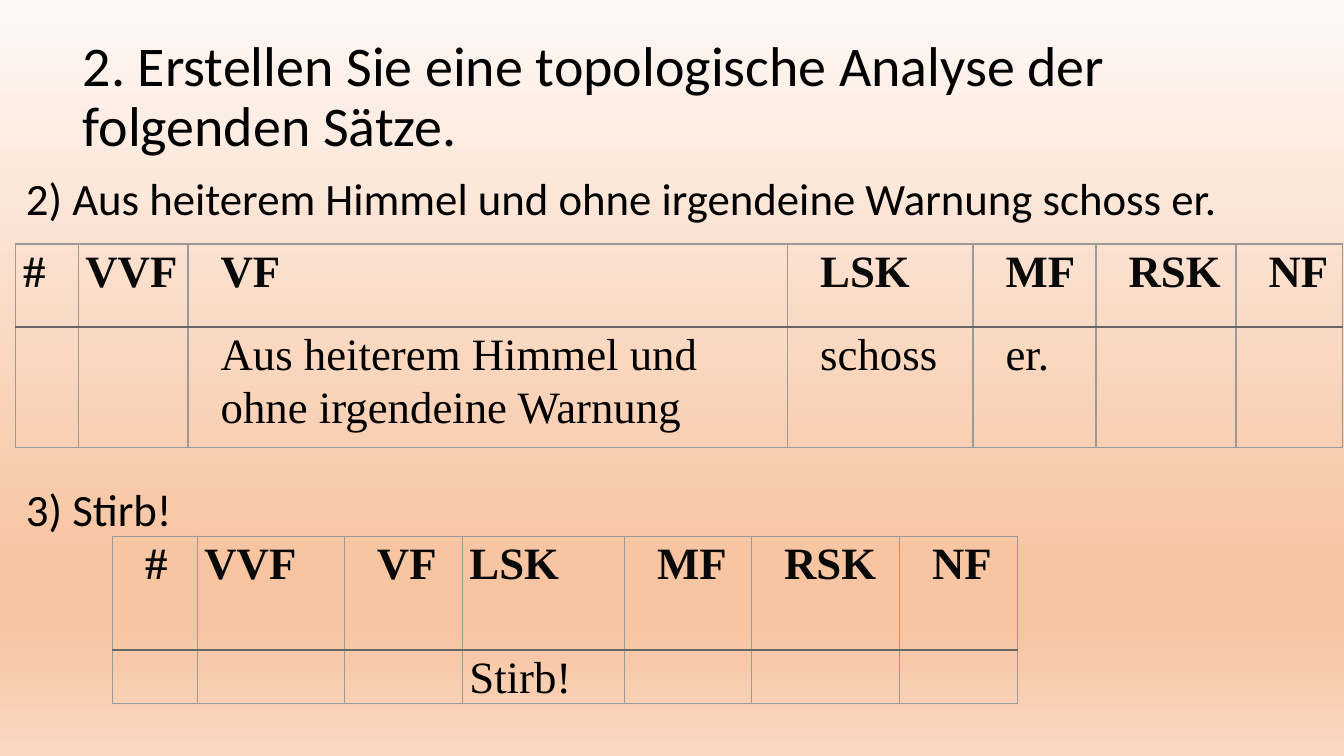
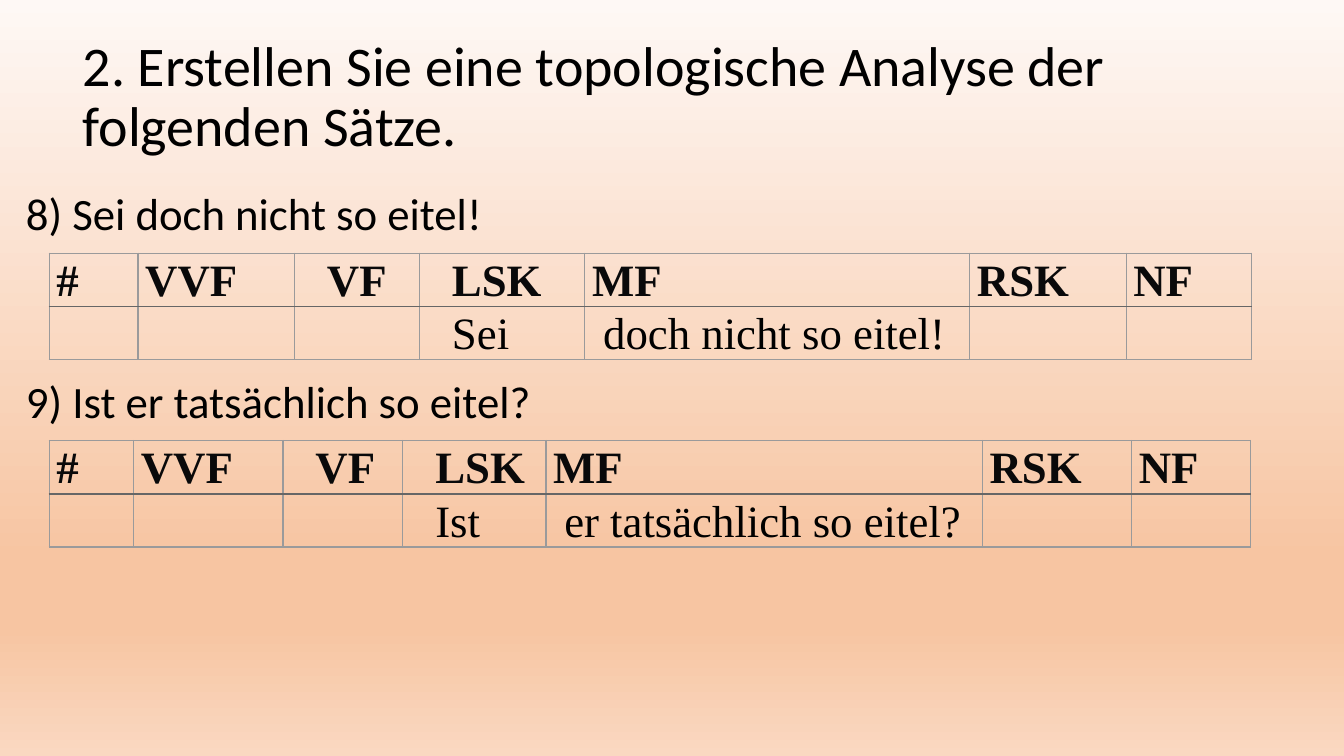
from lxml.etree import SubElement
from pptx import Presentation
from pptx.dml.color import RGBColor
from pptx.enum.text import MSO_ANCHOR, MSO_AUTO_SIZE, PP_ALIGN
from pptx.oxml import parse_xml
from pptx.oxml.ns import nsdecls, qn
from pptx.util import Cm, Pt

BLACK = RGBColor(0x00, 0x00, 0x00)
INK = RGBColor(0x09, 0x09, 0x0A)
GREY = RGBColor(0x9A, 0x9A, 0x9B)
DARK = RGBColor(0x66, 0x66, 0x66)
STOPS = [
    (0, RGBColor(0xFE, 0xF8, 0xF5)),
    (74, RGBColor(0xF7, 0xC5, 0xA2)),
    (83, RGBColor(0xF7, 0xC5, 0xA2)),
    (100, RGBColor(0xFA, 0xD8, 0xC1)),
]
SANS, SERIF = "Calibri", "Times New Roman"
THIN, THICK = (GREY, 1), (DARK, 1.5)

TITLE = "2. Erstellen Sie eine topologische Analyse der folgenden Sätze."
FIELDS = ["#", "VVF", "VF", "LSK", "MF", "RSK", "NF"]
INDENT, NUDGE = 0.64, 0.28

SLIDES = [
    {
        "top": 4.32,
        "gap": 188,
        "lines": [
            "2) Aus heiterem Himmel und ohne irgendeine Warnung schoss er.",
            "3) Stirb!",
        ],
        "tables": [
            {
                "at": (0.4, 6.15),
                "cols": [1.57, 2.77, 15.11, 4.67, 3.1, 3.53, 2.69],
                "rows": [2.08, 3.05],
                "inset": ["VF", "LSK", "MF", "RSK", "NF"],
                "words": {
                    "VF": ("Aus heiterem Himmel und ohne irgendeine Warnung", INDENT),
                    "LSK": ("schoss", INDENT),
                    "MF": ("er.", INDENT),
                },
            },
            {
                "at": (2.84, 13.51),
                "cols": [2.13, 3.71, 2.97, 4.09, 3.2, 3.73, 2.97],
                "rows": [2.87, 1.34],
                "inset": ["#", "VF", "MF", "RSK", "NF"],
                "words": {"LSK": ("Stirb!", 0)},
            },
        ],
    },
    {
        "top": 4.7,
        "gap": 100,
        "lines": ["8) Sei doch nicht so eitel!", "9) Ist er tatsächlich so eitel?"],
        "tables": [
            {
                "at": (1.24, 6.38),
                "cols": [2.24, 3.94, 3.15, 4.17, 9.7, 3.94, 3.15],
                "rows": [1.34, 1.34],
                "inset": ["VF", "LSK"],
                "words": {
                    "LSK": ("Sei", INDENT),
                    "MF": ("doch nicht so eitel!", NUDGE),
                },
            },
            {
                "at": (1.24, 11.1),
                "cols": [2.13, 3.76, 3.02, 3.61, 11.0, 3.76, 3.0],
                "rows": [1.34, 1.34],
                "inset": ["VF", "LSK"],
                "words": {
                    "LSK": ("Ist", INDENT),
                    "MF": ("er tatsächlich so eitel?", NUDGE),
                },
            },
        ],
    },
]


def put(para, text, size=32, font=SANS, color=BLACK, bold=False, line=0.9, before=0, left=0):
    props = para._p.get_or_add_pPr()
    props.set("marL", str(Cm(left)))
    props.set("indent", "0")
    SubElement(props, qn("a:buNone"))
    para.alignment = PP_ALIGN.LEFT
    para.line_spacing = line
    para.space_before = Pt(before)
    run = para.add_run()
    run.text = text
    run.font.name = font
    run.font.size = Pt(size)
    run.font.bold = bold
    run.font.color.rgb = color


def place(shape, left, top, width, height):
    shape.left, shape.top = Cm(left), Cm(top)
    shape.width, shape.height = Cm(width), Cm(height)


def paint(master):
    fill = master.background.fill
    fill.gradient()
    fill.gradient_angle = 270
    stops = fill._fill._gradFill.find(qn("a:gsLst"))
    for stop in list(stops):
        stops.remove(stop)
    for pos, color in STOPS:
        stop = SubElement(stops, qn("a:gs"), pos=str(pos * 1000))
        SubElement(stop, qn("a:srgbClr"), val=str(color))


def frame(cell, top, bottom):
    cell.fill.background()
    props = cell._tc.get_or_add_tcPr()
    sides = [("L", THIN), ("R", THIN), ("T", top), ("B", bottom)]
    for spot, (side, (color, width)) in enumerate(sides):
        props.insert(spot, parse_xml(
            f'<a:ln{side} {nsdecls("a")} w="{Pt(width)}"><a:solidFill>'
            f'<a:srgbClr val="{color}"/></a:solidFill></a:ln{side}>'))


def fill_cell(cell, text, left, **form):
    cell.margin_left, cell.margin_right = Cm(0.18), Cm(0.2)
    cell.margin_top = cell.margin_bottom = 0
    if text:
        put(cell.text_frame.paragraphs[0], text, font=SERIF, line=1.07, left=left, **form)


def add_grid(slide, data):
    left, top = data["at"]
    cols, rows = data["cols"], data["rows"]
    grid = slide.shapes.add_table(
        len(rows), len(cols), Cm(left), Cm(top), Cm(sum(cols)), Cm(sum(rows))).table
    grid.first_row = grid.horz_banding = False
    for row, height in zip(grid.rows, rows):
        row.height = Cm(height)
    for spot, (field, width) in enumerate(zip(FIELDS, cols)):
        grid.columns[spot].width = Cm(width)
        head, body = grid.cell(0, spot), grid.cell(1, spot)
        fill_cell(head, field, INDENT if field in data["inset"] else 0, color=INK, bold=True)
        fill_cell(body, *data["words"].get(field, ("", 0)))
        frame(head, THIN, THICK)
        frame(body, THICK, THIN)


def add_slide(deck, layout, data):
    slide = deck.slides.add_slide(layout)
    title, body = slide.shapes.title, slide.placeholders[1]
    place(body, 0.4, data["top"], 31.15, 17.15 - data["top"])
    for shape in (title, body):
        shape.text_frame.auto_size = MSO_AUTO_SIZE.NONE
    put(title.text_frame.paragraphs[0], TITLE, size=40)
    text = body.text_frame
    for spot, line in enumerate(data["lines"]):
        para = text.add_paragraph() if spot else text.paragraphs[0]
        put(para, line, before=spot * data["gap"])
    for grid in data["tables"]:
        add_grid(slide, grid)


def main():
    deck = Presentation()
    deck.slide_width, deck.slide_height = Cm(33.87), Cm(19.05)
    paint(deck.slide_master)
    layout = deck.slide_layouts[1]
    title = layout.placeholders[0]
    place(title, 1.83, 0.64, 29.21, 3.68)
    title.text_frame.vertical_anchor = MSO_ANCHOR.MIDDLE
    for data in SLIDES:
        add_slide(deck, layout, data)
    deck.save("out.pptx")


if __name__ == "__main__":
    main()
